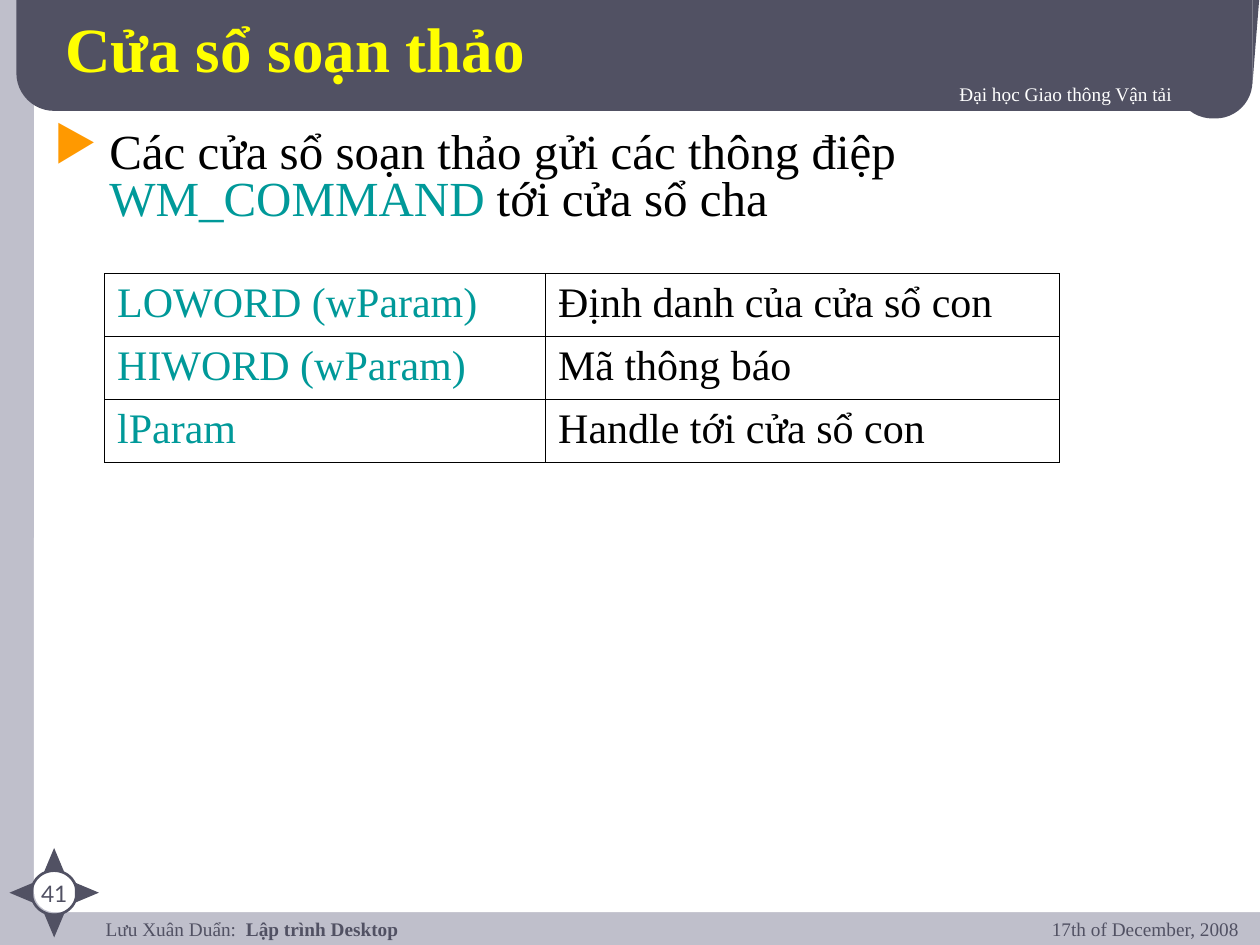
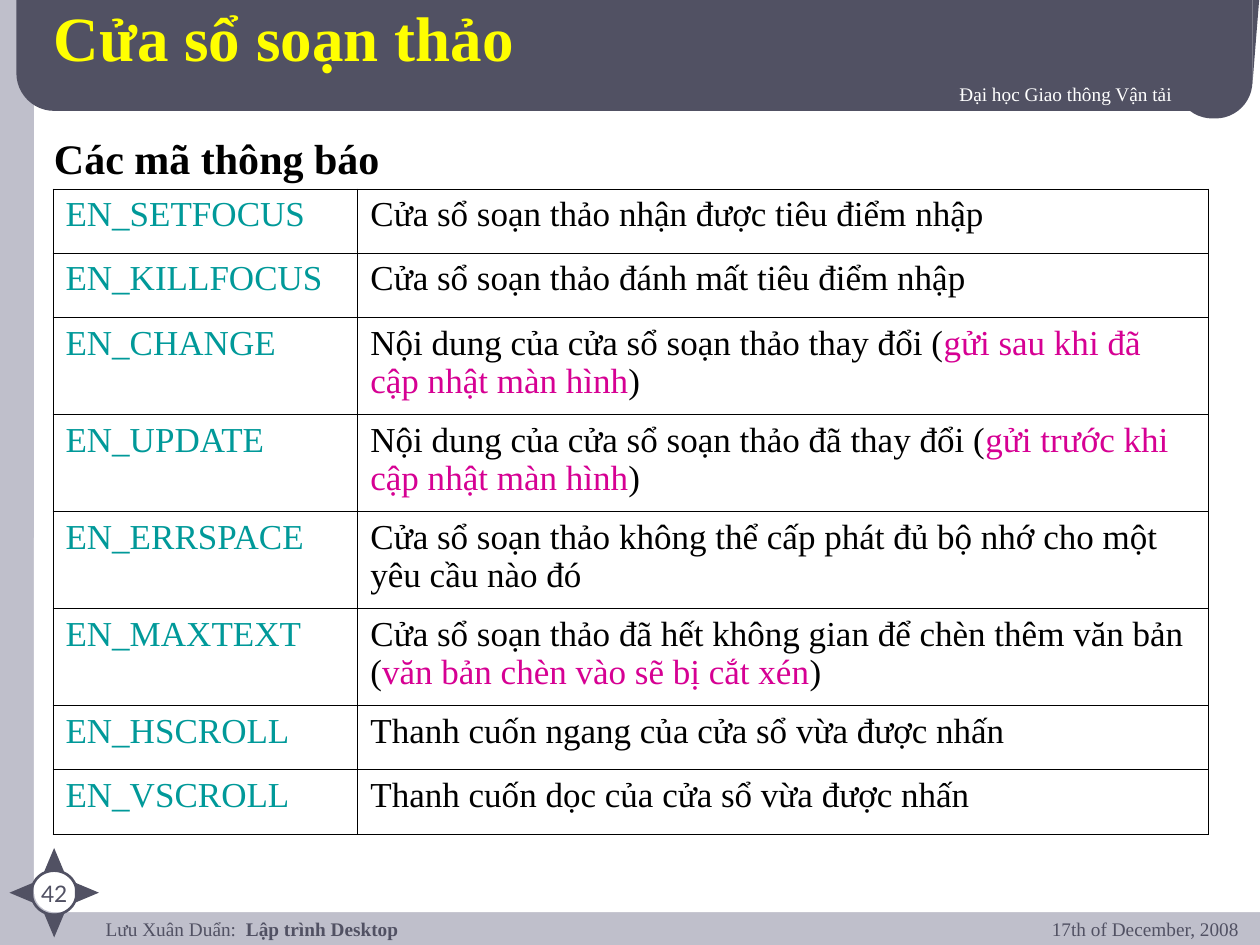
"""Build two lecture slides about edit control notifications."""
from dataclasses import dataclass, field
from math import cos, radians, sin

from lxml import etree
from pptx import Presentation
from pptx.dml.color import RGBColor
from pptx.enum.shapes import MSO_SHAPE
from pptx.enum.text import MSO_ANCHOR, PP_ALIGN
from pptx.oxml import parse_xml
from pptx.oxml.ns import nsdecls, qn
from pptx.util import Inches, Pt

ROUND, OVAL, TRIANGLE = (MSO_SHAPE.ROUNDED_RECTANGLE, MSO_SHAPE.OVAL,
                         MSO_SHAPE.ISOSCELES_TRIANGLE)
TOP, MIDDLE = MSO_ANCHOR.TOP, MSO_ANCHOR.MIDDLE
LEFT, CENTER, RIGHT = PP_ALIGN.LEFT, PP_ALIGN.CENTER, PP_ALIGN.RIGHT
C = {"back": "BFBFCB", "slate": "515163", "white": "FFFFFF", "title": "FFFF00",
     "text": "000000", "code": "009999", "note": "D60093", "bullet": "FF9900"}
SERIF, SANS = "Times New Roman", "Lato"
HANG = Inches(0.44)


@dataclass
class Run:
    """A piece of text in one colour."""
    text: str
    color: str = "text"
    bold: bool = False


@dataclass
class Text:
    """A text box with one paragraph."""
    box: tuple[float, float, float, float]
    runs: list[Run]
    size: float = 11
    font: str = SERIF
    align: PP_ALIGN = LEFT
    anchor: MSO_ANCHOR = TOP
    inset: float = 0.05
    shadow: bool = False
    bullet: bool = False


@dataclass
class Panel:
    """A preset shape of the slide frame."""
    kind: MSO_SHAPE
    box: tuple[float, float, float, float]
    fill: str | None = "slate"
    line: str | None = None
    round: float | None = None
    turn: float = 0


@dataclass
class Grid:
    """A bordered table with a code column and a meaning column."""
    box: tuple[float, float]
    cols: list[float]
    rows: list[float]
    size: float
    cells: list[tuple[str, list[Run]]]


@dataclass
class Page:
    """The content of one slide."""
    number: int
    title_box: tuple[float, float, float, float]
    body: Text
    grid: Grid = field(repr=False)


def rgb(name: str) -> RGBColor:
    return RGBColor.from_string(C[name])


def apply(obj, values: dict) -> None:
    for name, value in values.items():
        setattr(obj, name, value)


def write(p, runs: list[Run], size: float, font: str = SERIF, shadow: bool = False) -> None:
    for run in runs:
        r = p.add_run()
        r.text = run.text
        apply(r.font, {"size": Pt(size), "name": font, "bold": run.bold})
        r.font.color.rgb = rgb(run.color)
        if shadow:
            r.font._element.find(qn("a:solidFill")).addnext(parse_xml(
                f'<a:effectLst {nsdecls("a")}><a:outerShdw dist="25400" dir="2700000">'
                f'<a:srgbClr val="{C["text"]}"/></a:outerShdw></a:effectLst>'))


def add_text(slide, t: Text) -> None:
    tf = slide.shapes.add_textbox(*map(Inches, t.box)).text_frame
    apply(tf, {"word_wrap": True, "vertical_anchor": t.anchor,
               "margin_left": Inches(0.1), "margin_right": Inches(0.1),
               "margin_top": Inches(t.inset), "margin_bottom": Inches(t.inset)})
    p = tf.paragraphs[0]
    p.alignment = t.align
    write(p, t.runs, t.size, t.font, t.shadow)
    if t.bullet:
        p.line_spacing = 0.8
        pPr = p._p.get_or_add_pPr()
        pPr.set("marL", str(HANG))
        pPr.set("indent", str(-HANG))
        color = etree.SubElement(pPr, qn("a:buClr"))
        etree.SubElement(color, qn("a:srgbClr"), val=C["bullet"])
        etree.SubElement(pPr, qn("a:buChar"), char="▶")


def paint(sp, fill: str | None, line: str | None = None) -> None:
    sp.shadow.inherit = False
    for part, color in ((sp.fill, fill), (sp.line.fill, line)):
        if color:
            part.solid()
            part.fore_color.rgb = rgb(color)
        else:
            part.background()
    if line:
        sp.line.width = Pt(1.5)


def add_panel(slide, panel: Panel) -> None:
    sp = slide.shapes.add_shape(panel.kind, *map(Inches, panel.box))
    paint(sp, panel.fill, panel.line)
    sp.rotation = panel.turn
    if panel.round is not None:
        sp.adjustments[0] = panel.round


def add_grid(slide, g: Grid) -> None:
    frame = slide.shapes.add_table(len(g.rows), len(g.cols), *map(
        Inches, (*g.box, sum(g.cols), sum(g.rows))))
    table = frame.table
    apply(table, {"first_row": False, "horz_banding": False})
    for col, width in zip(table.columns, g.cols):
        col.width = Inches(width)
    for row, height, (code, meaning) in zip(table.rows, g.rows, g.cells):
        row.height = Inches(height)
        for cell, runs in zip(row.cells, ([Run(code, "code")], meaning)):
            apply(cell, {"margin_left": Inches(0.1), "margin_right": Inches(0.1),
                         "margin_top": Inches(0.05), "margin_bottom": Inches(0.05)})
            cell.fill.background()
            write(cell.text_frame.paragraphs[0], runs, g.size)
            tcPr = cell._tc.get_or_add_tcPr()
            for i, side in enumerate("LRTB"):
                tcPr.insert(i, parse_xml(
                    f'<a:ln{side} {nsdecls("a")} w="{Pt(0.45)}"><a:solidFill>'
                    f'<a:srgbClr val="{C["text"]}"/></a:solidFill></a:ln{side}>'))


def compass_point(turn: float) -> Panel:
    x = 0.43 + 0.26 * sin(radians(turn))
    y = 7.08 - 0.26 * cos(radians(turn))
    return Panel(TRIANGLE, (x - 0.08, y - 0.09, 0.16, 0.19), turn=turn)


FRAME = [
    Panel(ROUND, (0.27, -0.13, 10.01, 7.37), "white", round=0.022),
    Panel(ROUND, (0.13, -0.36, 9.81, 1.24), round=0.242),
    Panel(ROUND, (9.33, 0.29, 0.61, 0.65), round=0.48),
    Panel(OVAL, (0.25, 6.91, 0.36, 0.35), None, "slate"),
    *(compass_point(turn) for turn in (0, 90, 180, 270)),
]
LABELS = [
    Text((0.74, 7.28, 7.74, 0.33), [Run("Lưu Xuân Duẩn:  ", "slate"),
                                    Run("Lập trình Desktop", "slate", True)], inset=0),
    Text((3.03, 0.6, 6.37, 0.38), [Run("Đại học Giao thông Vận tải", "white")],
         align=RIGHT, shadow=True),
    Text((7.52, 7.23, 2.41, 0.42), [Run("17th of December, 2008", "slate")], align=RIGHT),
]


def noted(before: str, note: str) -> list[Run]:
    return [Run(before + " ("), Run(note, "note"), Run(")")]


PAGES = [
    Page(41, (0.42, 0, 9, 0.75),
         Text((0.33, 1, 9.33, 0.85),
              [Run("Các cửa sổ soạn thảo gửi các thông điệp "), Run("WM_COMMAND", "code"),
               Run(" tới cửa sổ cha")], 28, bullet=True),
         Grid((0.83, 2.17), [3.5, 4.08], [0.5] * 3, 24, [
             ("LOWORD (wParam)", [Run("Định danh của cửa sổ con")]),
             ("HIWORD (wParam)", [Run("Mã thông báo")]),
             ("lParam", [Run("Handle tới cửa sổ con")])])),
    Page(42, (0.33, 0, 9, 0.58),
         Text((0.33, 1, 4.67, 0.5), [Run("Các mã thông báo", bold=True)], 24),
         Grid((0.42, 1.5), [2.42, 6.75], [0.51] * 2 + [0.77] * 4 + [0.51] * 2, 20, [
             ("EN_SETFOCUS", [Run("Cửa sổ soạn thảo nhận được tiêu điểm nhập")]),
             ("EN_KILLFOCUS", [Run("Cửa sổ soạn thảo đánh mất tiêu điểm nhập")]),
             ("EN_CHANGE", noted("Nội dung của cửa sổ soạn thảo thay đổi",
                                 "gửi sau khi đã cập nhật màn hình")),
             ("EN_UPDATE", noted("Nội dung của cửa sổ soạn thảo đã thay đổi",
                                 "gửi trước khi cập nhật màn hình")),
             ("EN_ERRSPACE", [Run("Cửa sổ soạn thảo không thể cấp phát đủ bộ nhớ "
                                  "cho một yêu cầu nào đó")]),
             ("EN_MAXTEXT", noted("Cửa sổ soạn thảo đã hết không gian để chèn thêm văn bản",
                                  "văn bản chèn vào sẽ bị cắt xén")),
             ("EN_HSCROLL", [Run("Thanh cuốn ngang của cửa sổ vừa được nhấn")]),
             ("EN_VSCROLL", [Run("Thanh cuốn dọc của cửa sổ vừa được nhấn")])])),
]


def add_frame(slide, number: int) -> None:
    fill = slide.background.fill
    fill.solid()
    fill.fore_color.rgb = rgb("back")
    for panel in FRAME:
        add_panel(slide, panel)
    fb = slide.shapes.build_freeform(Inches(9.94), Inches(-0.08))
    fb.add_line_segments([(Inches(10), Inches(-0.08)), (Inches(9.94), Inches(0.67))])
    paint(fb.convert_to_shape(), "slate")
    for label in LABELS:
        add_text(slide, label)
    add_text(slide, Text((0.14, 6.93, 0.58, 0.22), [Run(str(number), "slate")],
                         13, SANS, CENTER))


def main() -> None:
    prs = Presentation()
    apply(prs, {"slide_width": Inches(10), "slide_height": Inches(7.5)})
    for page in PAGES:
        slide = prs.slides.add_slide(prs.slide_layouts[6])
        add_frame(slide, page.number)
        add_text(slide, Text(page.title_box, [Run("Cửa sổ soạn thảo", "title", True)],
                             36, anchor=MIDDLE, shadow=True))
        add_text(slide, page.body)
        add_grid(slide, page.grid)
    prs.save("out.pptx")


if __name__ == "__main__":
    main()
